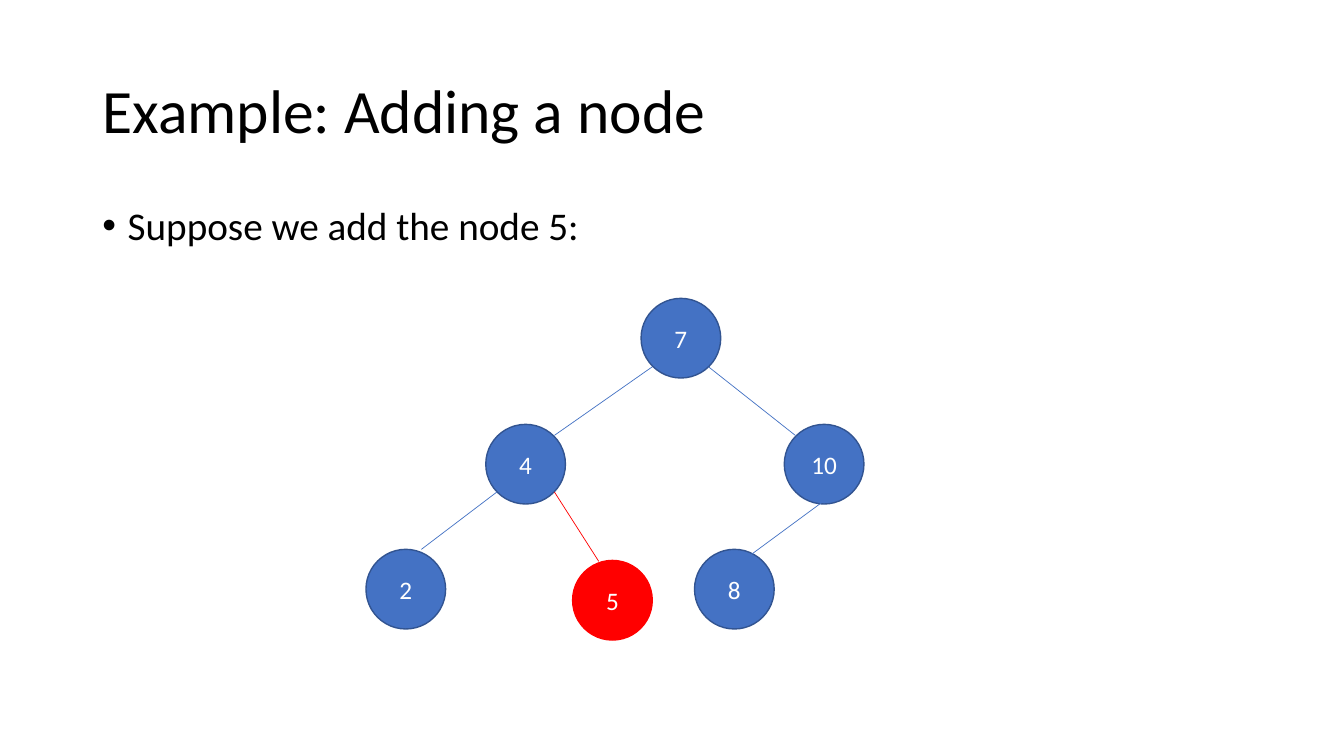
import pptx
import pptx.util
import pptx.dml.color
import pptx.enum.shapes
import pptx.enum.text
import pptx.oxml.ns
import lxml.etree

Pt = pptx.util.Pt
COLOURS = {
    "text": "000000",
    "label": "FFFFFF",
    "node": "4472C4",
    "outline": "325491",
    "added": "FF0000",
}
NODE_SIZE = 56.9

# label, left, top, fill, outline
NODES = [
    ("7", 457.9, 213.1, "node", "outline"),
    ("4", 347, 303.1, "node", "outline"),
    ("10", 560.2, 303.1, "node", "outline"),
    ("2", 261.4, 392.4, "node", "outline"),
    ("8", 496.1, 392.4, "node", "outline"),
    ("5", 409, 400.3, "added", "added"),
]
# start, end, colour
EDGES = [
    ((465.8, 262.1), (396, 311), "node"),
    ((355, 351.4), (301, 392.4), "node"),
    ((506.2, 262.1), (568.1, 311), "node"),
    ((587.5, 358.6), (532.8, 398.9), "node"),
    ((396, 351.4), (427.7, 401), "added"),
]


class SlideBuilder:
    font_name = "Calibri"

    def __init__(self, slide):
        self.slide = slide

    def colour(self, name):
        return pptx.dml.color.RGBColor.from_string(COLOURS[name])

    def format_runs(self, paragraph, size, colour):
        for run in paragraph.runs:
            run.font.name = self.font_name
            run.font.size = Pt(size)
            run.font.color.rgb = self.colour(colour)

    def fill_placeholder(self, placeholder, text, box, size, anchor):
        placeholder.left, placeholder.top, placeholder.width, placeholder.height = map(Pt, box)
        frame = placeholder.text_frame
        frame.text = text
        frame.word_wrap = True
        frame.auto_size = pptx.enum.text.MSO_AUTO_SIZE.NONE
        frame.vertical_anchor = anchor
        paragraph = frame.paragraphs[0]
        paragraph.alignment = pptx.enum.text.PP_ALIGN.LEFT
        paragraph.line_spacing = 0.9
        paragraph.space_before = Pt(0)
        self.format_runs(paragraph, size, "text")
        return paragraph

    def title(self, text):
        self.fill_placeholder(self.slide.shapes.title, text, (66, 28.8, 828, 104.4), 44,
                              pptx.enum.text.MSO_ANCHOR.MIDDLE)

    def bullet(self, text):
        paragraph = self.fill_placeholder(self.slide.placeholders[1], text, (66, 144, 828, 49), 28,
                                          pptx.enum.text.MSO_ANCHOR.TOP)
        properties = paragraph._p.get_or_add_pPr()
        properties.set("marL", str(Pt(18)))
        properties.set("indent", str(-Pt(18)))
        font = lxml.etree.SubElement(properties, pptx.oxml.ns.qn("a:buFont"))
        font.set("typeface", "Arial")
        character = lxml.etree.SubElement(properties, pptx.oxml.ns.qn("a:buChar"))
        character.set("char", "•")

    def node(self, label, left, top, fill, outline):
        shape = self.slide.shapes.add_shape(
            pptx.enum.shapes.MSO_SHAPE.OVAL, Pt(left), Pt(top), Pt(NODE_SIZE), Pt(NODE_SIZE))
        shape.shadow.inherit = False
        shape.fill.solid()
        shape.fill.fore_color.rgb = self.colour(fill)
        shape.line.color.rgb = self.colour(outline)
        shape.line.width = Pt(1)
        frame = shape.text_frame
        frame.text = label
        frame.vertical_anchor = pptx.enum.text.MSO_ANCHOR.MIDDLE
        paragraph = frame.paragraphs[0]
        paragraph.alignment = pptx.enum.text.PP_ALIGN.CENTER
        self.format_runs(paragraph, 18, "label")

    def edge(self, start, end, colour):
        connector = self.slide.shapes.add_connector(
            pptx.enum.shapes.MSO_CONNECTOR.STRAIGHT, *map(Pt, start + end))
        connector.line.color.rgb = self.colour(colour)
        connector.line.width = Pt(0.5)
        lxml.etree.SubElement(connector._element.spPr, pptx.oxml.ns.qn("a:effectLst"))


def main():
    presentation = pptx.Presentation()
    presentation.slide_width = Pt(960)
    presentation.slide_height = Pt(540)
    builder = SlideBuilder(presentation.slides.add_slide(presentation.slide_layouts[1]))
    builder.title("Example: Adding a node")
    builder.bullet("Suppose we add the node 5:")
    for node in NODES:
        builder.node(*node)
    for edge in EDGES:
        builder.edge(*edge)
    presentation.save("out.pptx")


if __name__ == "__main__":
    main()
